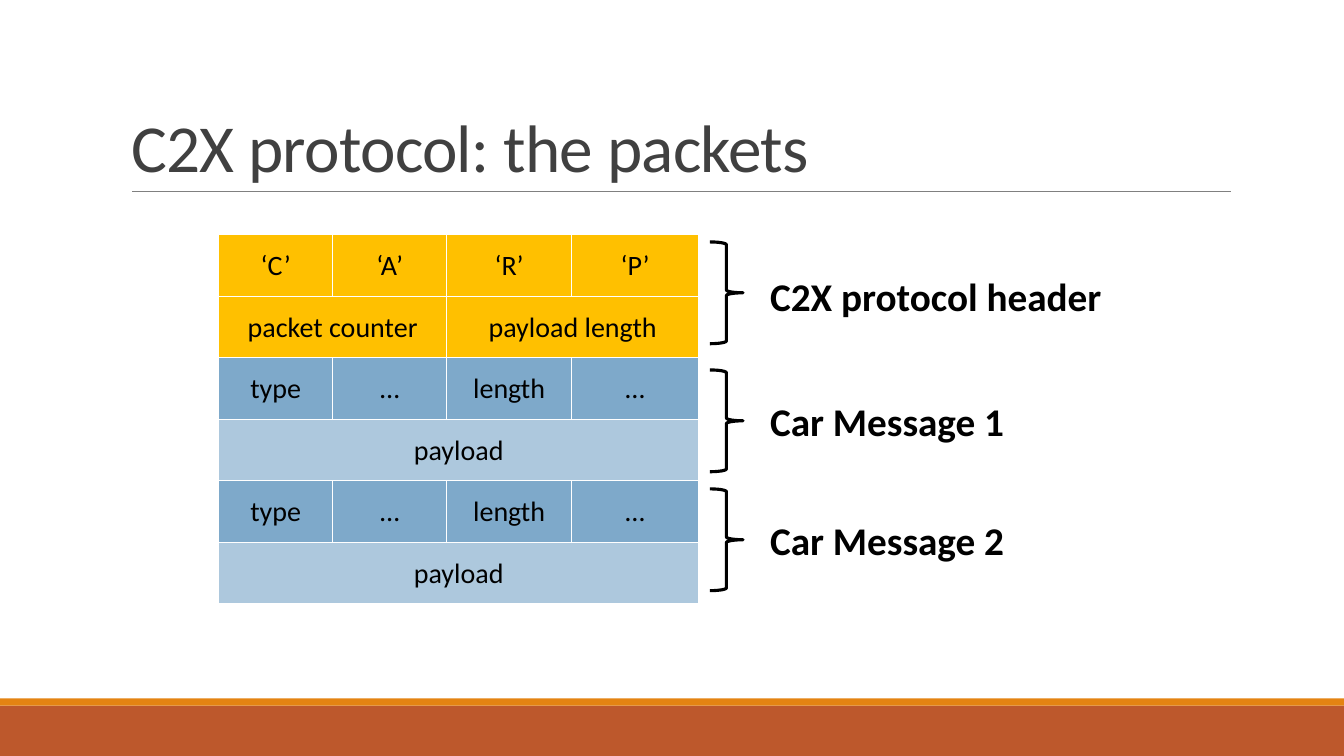
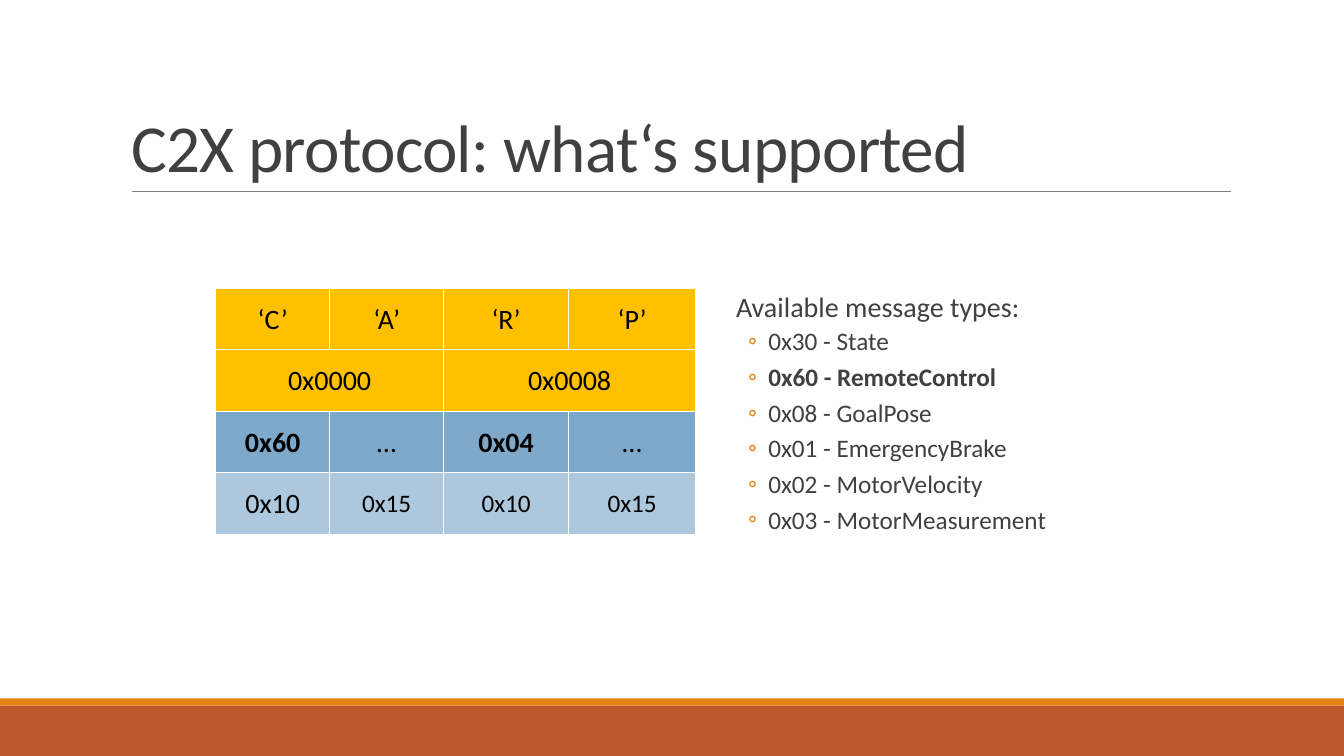
from typing import NamedTuple

from lxml.etree import SubElement
from pptx import Presentation
from pptx.dml.color import RGBColor
from pptx.enum.shapes import MSO_CONNECTOR, MSO_SHAPE
from pptx.enum.text import MSO_ANCHOR, MSO_AUTO_SIZE, PP_ALIGN
from pptx.oxml.ns import qn
from pptx.util import Inches, Pt

FONT = "Calibri"
BLACK, WHITE, DARK_GRAY, GRAY = "000000", "FFFFFF", "404040", "808080"
RUST, ORANGE = "BD582C", "E48312"
YELLOW, BLUE, LIGHT_BLUE = "FFC000", "7EA9CA", "ADC8DD"

SLIDE_WIDTH, SLIDE_HEIGHT = 13.33, 7.5
COLUMN_WIDTHS = [1.13, 1.13, 1.24, 1.26]
ROW_HEIGHT = 0.61


class Field(NamedTuple):
    text: str
    size: int = 20
    bold: bool = False


def rgb(hex_color):
    return RGBColor.from_string(hex_color)


def set_font(paragraph, size, color=BLACK, bold=False):
    font = paragraph.font
    font.name, font.size, font.bold = FONT, Pt(size), bold
    font.color.rgb = rgb(color)


def add_band(slide, top, height, color):
    band = slide.shapes.add_shape(MSO_SHAPE.RECTANGLE, 0, Inches(top),
                                  Inches(SLIDE_WIDTH), Inches(height))
    band.shadow.inherit = False
    band.fill.solid()
    band.fill.fore_color.rgb = rgb(color)
    band.line.fill.background()
    return band


def add_title_rule(slide, left, right, y):
    rule = slide.shapes.add_connector(MSO_CONNECTOR.STRAIGHT, Inches(left), Inches(y),
                                      Inches(right), Inches(y))
    rule.line.color.rgb = rgb(GRAY)
    rule.line.width = Pt(0.5)
    SubElement(rule.element.spPr, qn("a:effectLst"))
    return rule


def decorate_layout(layout, slide):
    """Draw the bands and title rule on a slide, then move them to its layout."""
    decorations = [
        add_band(slide, 7, 0.5, RUST),
        add_band(slide, 6.93, 0.07, ORANGE),
        add_title_rule(slide, 1.31, 12.21, 1.9),
    ]
    for shape in decorations:
        layout.shapes.element.append(shape.element)


def set_title(slide, text):
    title = slide.shapes.title
    title.left, title.top = Inches(1.2), Inches(0.31)
    title.width, title.height = Inches(11), Inches(1.59)
    frame = title.text_frame
    frame.text = text
    frame.auto_size = MSO_AUTO_SIZE.NONE
    frame.vertical_anchor = MSO_ANCHOR.BOTTOM
    paragraph = frame.paragraphs[0]
    paragraph.alignment = PP_ALIGN.LEFT
    paragraph.line_spacing = 0.85
    set_font(paragraph, 48, DARK_GRAY)
    paragraph._p.pPr.find(qn("a:defRPr")).set("spc", "-50")


def add_cell_borders(cell, color, width):
    properties = cell._tc.get_or_add_tcPr()
    for side in ("a:lnL", "a:lnR", "a:lnT", "a:lnB"):
        line = SubElement(properties, qn(side), w=str(Pt(width)))
        fill = SubElement(line, qn("a:solidFill"))
        SubElement(fill, qn("a:srgbClr"), val=color)


def fill_cell(cell, field):
    cell.margin_left = cell.margin_right = cell.margin_top = Inches(0.01)
    cell.margin_bottom = 0
    cell.vertical_anchor = MSO_ANCHOR.MIDDLE
    cell.text = field.text
    paragraph = cell.text_frame.paragraphs[0]
    paragraph.alignment = PP_ALIGN.CENTER
    set_font(paragraph, field.size, bold=field.bold)


def add_packet_table(slide, left, top, rows):
    """Each row is a colour and its fields, which share the columns equally."""
    column_count = len(COLUMN_WIDTHS)
    table = slide.shapes.add_table(
        len(rows), column_count, Inches(left), Inches(top),
        Inches(sum(COLUMN_WIDTHS)), Inches(ROW_HEIGHT * len(rows))).table
    table.first_row = table.horz_banding = False
    for column, width in zip(table.columns, COLUMN_WIDTHS):
        column.width = Inches(width)
    for row_index, (color, fields) in enumerate(rows):
        table.rows[row_index].height = Inches(ROW_HEIGHT)
        for cell in table.rows[row_index].cells:
            add_cell_borders(cell, WHITE, 1)
            cell.fill.solid()
            cell.fill.fore_color.rgb = rgb(color)
        span = column_count // len(fields)
        for field_index, field in enumerate(fields):
            first = field_index * span
            cell = table.cell(row_index, first)
            if span > 1:
                cell.merge(table.cell(row_index, first + span - 1))
            fill_cell(cell, field)


def add_braced_label(slide, left, top, text, label_offset, label_width):
    brace = slide.shapes.add_shape(MSO_SHAPE.RIGHT_BRACE, Inches(left), Inches(top),
                                   Inches(0.33), Inches(1.01))
    brace.shadow.inherit = False
    brace.fill.background()
    brace.line.color.rgb = rgb(BLACK)
    brace.line.width = Pt(2.25)

    label = slide.shapes.add_textbox(Inches(left + 0.5), Inches(top + label_offset),
                                     Inches(label_width), Inches(0.57))
    frame = label.text_frame
    frame.word_wrap = False
    frame.auto_size = MSO_AUTO_SIZE.SHAPE_TO_FIT_TEXT
    frame.text = text
    set_font(frame.paragraphs[0], 28, bold=True)


def add_bullet(paragraph, character, color):
    properties = paragraph._p.get_or_add_pPr()
    properties.set("marL", str(Inches(0.42)))
    properties.set("indent", str(Inches(-0.2)))
    bullet_color = SubElement(properties, qn("a:buClr"))
    SubElement(bullet_color, qn("a:srgbClr"), val=color)
    SubElement(properties, qn("a:buFont"), typeface=FONT)
    SubElement(properties, qn("a:buChar"), char=character)


def add_message_types(slide, left, top, heading, items):
    box = slide.shapes.add_textbox(Inches(left), Inches(top), Inches(3.58), Inches(2.72))
    frame = box.text_frame
    frame.word_wrap = True
    frame.margin_left = frame.margin_right = 0
    frame.text = heading
    paragraph = frame.paragraphs[0]
    paragraph._p.get_or_add_pPr().set("marL", str(Inches(0.1)))
    paragraph.line_spacing = 0.9
    paragraph.space_after = Pt(2)
    set_font(paragraph, 20, DARK_GRAY)
    for item in items:
        paragraph = frame.add_paragraph()
        paragraph.text = item.text
        paragraph.level = 1
        add_bullet(paragraph, "◦", ORANGE)
        paragraph.line_spacing = 0.9
        paragraph.space_before, paragraph.space_after = Pt(2), Pt(4)
        set_font(paragraph, item.size, DARK_GRAY, item.bold)


MAGIC_ROW = (YELLOW, [Field(f"‘{letter}’") for letter in "CARP"])


def build_packets_slide(slide):
    set_title(slide, "C2X protocol: the packets")
    message_rows = [
        (BLUE, [Field("type"), Field("…"), Field("length"), Field("…")]),
        (LIGHT_BLUE, [Field("payload")]),
    ]
    header_rows = [MAGIC_ROW, (YELLOW, [Field("packet counter"), Field("payload length")])]
    add_packet_table(slide, 2.17, 2.33, header_rows + message_rows * 2)
    for top, text, label_offset, label_width in [
        (2.4, "C2X protocol header", 0.25, 3.53),
        (3.67, "Car Message 1", 0.22, 2.55),
        (4.85, "Car Message 2", 0.22, 2.55),
    ]:
        add_braced_label(slide, 7.04, top, text, label_offset, label_width)


def build_supported_slide(slide):
    set_title(slide, "C2X protocol: what‘s supported")
    add_message_types(slide, 7.2, 2.86, "Available message types:", [
        Field("0x30 - State", 18),
        Field("0x60 - RemoteControl", 18, True),
        Field("0x08 - GoalPose", 18),
        Field("0x01 - EmergencyBrake", 18),
        Field("0x02 - MotorVelocity", 18),
        Field("0x03 - MotorMeasurement", 18),
    ])
    add_packet_table(slide, 2.14, 2.86, [
        MAGIC_ROW,
        (YELLOW, [Field("0x0000"), Field("0x0008")]),
        (BLUE, [Field("0x60", bold=True), Field("…"), Field("0x04", bold=True), Field("…")]),
        (LIGHT_BLUE, [Field("0x10"), Field("0x15", 18), Field("0x10", 18), Field("0x15", 18)]),
    ])


def main():
    presentation = Presentation()
    presentation.slide_width = Inches(SLIDE_WIDTH)
    presentation.slide_height = Inches(SLIDE_HEIGHT)
    layout = presentation.slide_layouts[5]
    packets_slide = presentation.slides.add_slide(layout)
    decorate_layout(layout, packets_slide)
    build_packets_slide(packets_slide)
    build_supported_slide(presentation.slides.add_slide(layout))
    presentation.save("out.pptx")


if __name__ == "__main__":
    main()
